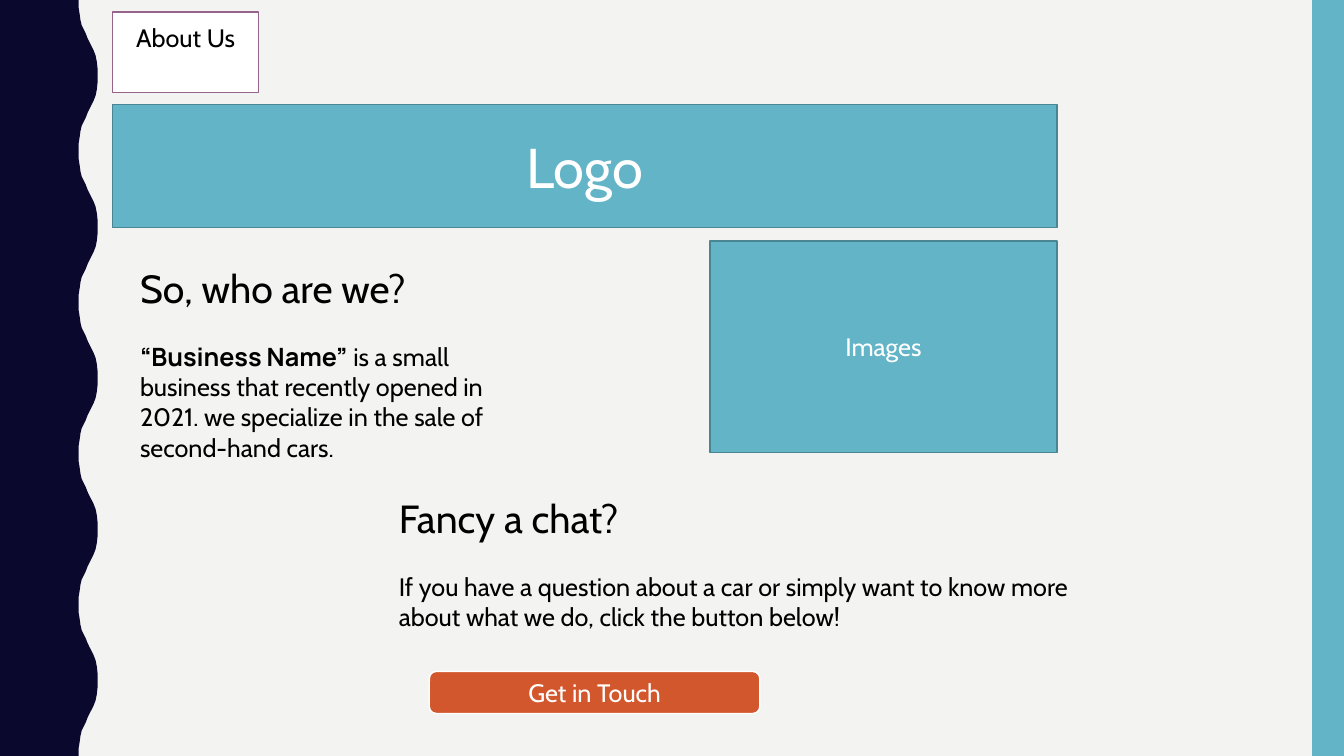
from dataclasses import dataclass

from pptx import Presentation
from pptx import util as u
from pptx.dml.color import RGBColor
from pptx.enum import shapes, text

COLOURS = {
    "paper": "F3F3F2",
    "navy": "0B082E",
    "teal": "62B4C6",
    "teal_edge": "498592",
    "plum": "96648A",
    "orange": "D3572D",
    "white": "FFFFFF",
    "black": "000000",
}
PAGE_WIDTH, PAGE_HEIGHT = 33.87, 19.05
WAVE_PERIOD = 3.81
WAVE_COUNT = 5
HALF_WAVE = [
    (1.98, 0), (1.98, 0.18), (2.01, 0.36), (2.03, 0.51), (2.06, 0.64),
    (2.11, 0.74), (2.16, 0.84), (2.21, 0.97), (2.26, 1.07), (2.31, 1.17),
    (2.36, 1.27), (2.41, 1.4), (2.44, 1.55), (2.46, 1.73), (2.46, 1.9),
]


@dataclass(frozen=True)
class Area:
    left: float
    top: float
    width: float
    height: float

    def lengths(self) -> list:
        return [u.Cm(n) for n in (self.left, self.top, self.width, self.height)]


@dataclass(frozen=True)
class Span:
    words: str
    size: int = 18
    colour: str = "white"
    font: str = "Cabin"
    bold: bool = False


@dataclass(frozen=True)
class Panel:
    area: Area
    label: Span | None
    fill: str
    edge: str | None
    kind: shapes.MSO_SHAPE = shapes.MSO_SHAPE.RECTANGLE


@dataclass(frozen=True)
class Section:
    area: Area
    heading: str
    body: tuple[Span, ...]


ABOUT = Panel(Area(2.84, 0.3, 3.68, 2.03), Span("About Us", colour="black"), "white", "plum")
PANELS = [
    Panel(Area(33.07, 0, 0.8, PAGE_HEIGHT), None, "teal", None),
    Panel(Area(2.84, 2.64, 23.8, 3.1), Span("Logo", 40), "teal", "teal_edge"),
    Panel(Area(17.89, 6.07, 8.75, 5.34), Span("Images"), "teal", "teal_edge"),
    Panel(Area(10.82, 16.92, 8.33, 1.06), Span("Get in Touch"), "orange", "white",
          shapes.MSO_SHAPE.ROUNDED_RECTANGLE),
]
SECTIONS = [
    Section(Area(3.28, 6.53, 9.65, 6.07), "So, who are we?", (
        Span("“Business Name”", colour="black", font="Manrope", bold=True),
        Span(" is a small business that recently opened in 2021. we specialize "
             "in the sale of second-hand cars.", colour="black"),
    )),
    Section(Area(9.8, 12.32, 18.75, 4.52), "Fancy a chat?", (
        Span("If you have a question about a car or simply want to know more "
             "about what we do, click the button below!", colour="black"),
    )),
]


def colour(name: str) -> RGBColor:
    return RGBColor.from_string(COLOURS[name])


def paint(shape, fill: str, edge: str | None) -> None:
    shape.fill.solid()
    shape.fill.fore_color.rgb = colour(fill)
    if edge:
        shape.line.color.rgb = colour(edge)
        shape.line.width = u.Pt(1)
    else:
        shape.line.fill.background()


def add_span(para, span: Span) -> None:
    run = para.add_run()
    run.text = span.words
    run.font.name = span.font
    run.font.size = u.Pt(span.size)
    run.font.bold = span.bold
    run.font.color.rgb = colour(span.colour)


def add_label(shape, label: Span, anchor: text.MSO_ANCHOR) -> None:
    frame = shape.text_frame
    frame.word_wrap = True
    frame.auto_size = text.MSO_AUTO_SIZE.NONE
    frame.vertical_anchor = anchor
    para = frame.paragraphs[0]
    para.alignment = text.PP_ALIGN.CENTER
    add_span(para, label)


def add_wave(page) -> None:
    crest = HALF_WAVE + [(x, WAVE_PERIOD - y) for x, y in reversed(HALF_WAVE)]
    edge = [(x, y + WAVE_PERIOD * n) for n in range(WAVE_COUNT) for x, y in crest]
    builder = page.shapes.build_freeform(0, 0, scale=1.0)
    outline = edge + [(0, PAGE_HEIGHT)]
    builder.add_line_segments([(u.Cm(x), u.Cm(y)) for x, y in outline], close=True)
    wave = builder.convert_to_shape()
    wave.shadow.inherit = False
    paint(wave, "navy", None)


def add_title(page, panel: Panel) -> None:
    title = page.shapes.title
    title.left, title.top, title.width, title.height = panel.area.lengths()
    paint(title, panel.fill, panel.edge)
    add_label(title, panel.label, text.MSO_ANCHOR.TOP)
    title.text_frame.margin_top = u.Cm(0.25)


def add_panel(page, panel: Panel) -> None:
    shape = page.shapes.add_shape(panel.kind, *panel.area.lengths())
    shape.shadow.inherit = False
    paint(shape, panel.fill, panel.edge)
    if panel.label:
        add_label(shape, panel.label, text.MSO_ANCHOR.MIDDLE)


def add_section(page, section: Section) -> None:
    box = page.shapes.add_textbox(*section.area.lengths())
    frame = box.text_frame
    frame.word_wrap = True
    heading = frame.paragraphs[0]
    heading.space_after = u.Pt(21.5)
    add_span(heading, Span(section.heading, 28, "black"))
    body = frame.add_paragraph()
    for span in section.body:
        add_span(body, span)


def main() -> None:
    deck = Presentation()
    deck.slide_width, deck.slide_height = u.Cm(PAGE_WIDTH), u.Cm(PAGE_HEIGHT)
    page = deck.slides.add_slide(deck.slide_layouts.get_by_name("Title Only"))
    page.background.fill.solid()
    page.background.fill.fore_color.rgb = colour("paper")
    add_wave(page)
    add_title(page, ABOUT)
    for panel in PANELS:
        add_panel(page, panel)
    for section in SECTIONS:
        add_section(page, section)
    deck.save("out.pptx")


if __name__ == "__main__":
    main()
